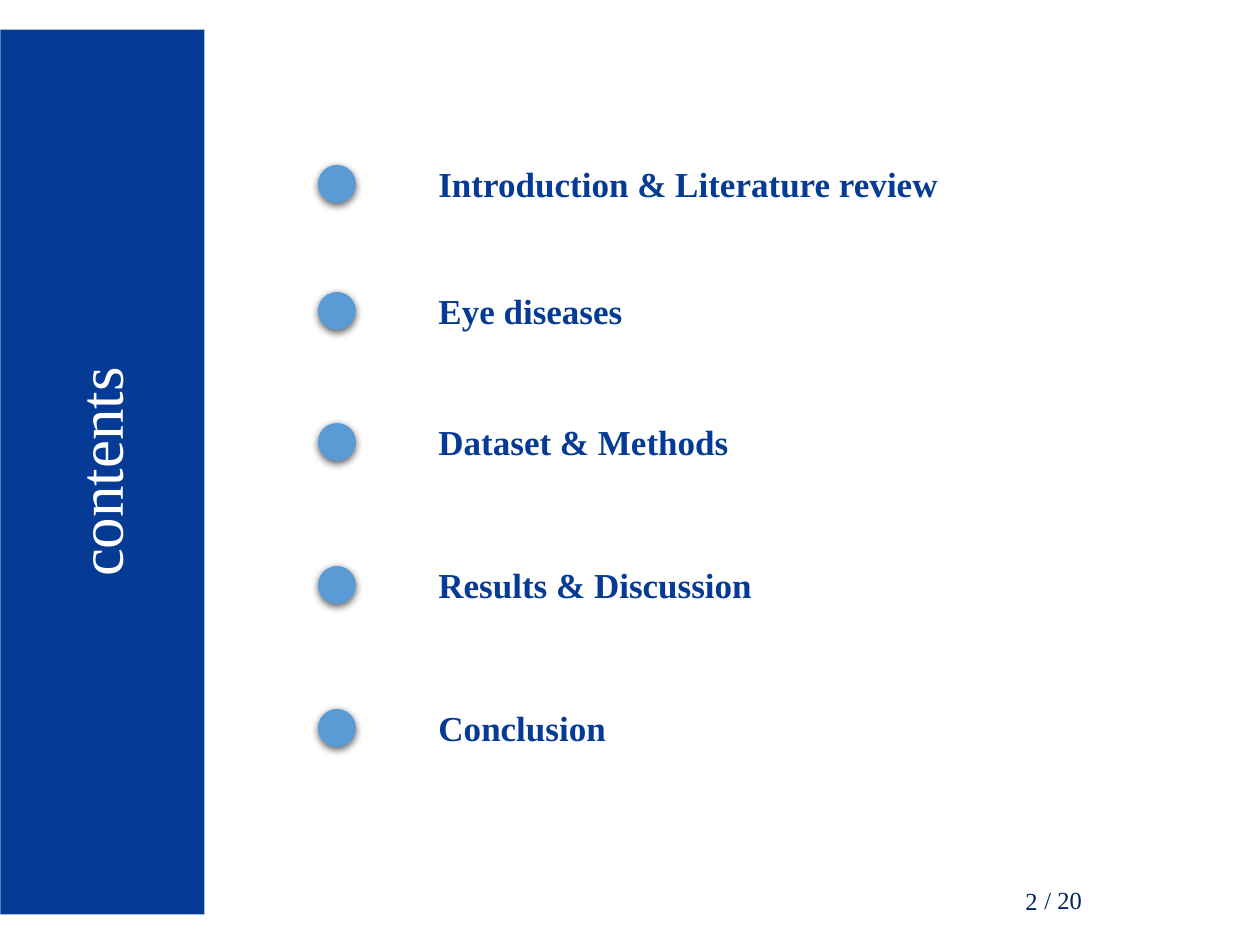
"""Builds a contents slide with a vertical title banner and five topics."""
from dataclasses import dataclass

from lxml import etree
from pptx import Presentation
from pptx import util as u
from pptx.dml.color import RGBColor
from pptx.enum import shapes, text
from pptx.oxml.ns import qn

PX = 914400 / 126
SERIF = "Times New Roman"
BLUE, NAVY, SKY, WHITE = "053B95", "002060", "5B9BD5", "FFFFFF"
DOT_LEFT, DOT_SIZE = 318, 38
LABEL_LEFT, LABEL_HEIGHT = 426, 55


@dataclass
class Topic:
    """A contents entry: its wording, vertical centre and label width."""
    label: str
    middle: int
    width: int


TOPICS = [
    Topic("Introduction & Literature review", 184, 528),
    Topic("Eye diseases", 311, 219),
    Topic("Dataset & Methods", 442, 318),
    Topic("Results & Discussion", 585, 350),
    Topic("Conclusion", 728, 194),
]


def px(length: float) -> int:
    """Turn pixels into EMU."""
    return round(length * PX)


def rgb(value: str) -> RGBColor:
    """Turn a hex string into a colour."""
    return RGBColor.from_string(value)


def write(frame, wording: str, size: int, color: str, bold: bool = False) -> None:
    """Put one formatted line of text into a frame."""
    frame.text = wording
    font = frame.paragraphs[0].runs[0].font
    font.name, font.size, font.bold = SERIF, u.Pt(size), bold
    font.color.rgb = rgb(color)


def add_text(slide, box: tuple[int, int, int, int], wording: str, size: int,
             color: str, bold: bool = False, wrap: bool = False):
    """Add a text box and return its frame."""
    frame = slide.shapes.add_textbox(*map(px, box)).text_frame
    write(frame, wording, size, color, bold)
    frame.word_wrap = wrap
    return frame


def add_shadow(shape) -> None:
    """Give a shape a soft shadow falling straight down."""
    shape.shadow.inherit = False
    effects = shape._element.spPr.find(qn("a:effectLst"))
    shadow = etree.SubElement(effects, qn("a:outerShdw"), blurRad=str(u.Pt(4.5)),
                              dist=str(u.Pt(1.5)), dir="5400000", rotWithShape="0")
    black = etree.SubElement(shadow, qn("a:srgbClr"), val="000000")
    etree.SubElement(black, qn("a:alpha"), val="63000")


def add_banner(slide, wording: str) -> None:
    """Turn the title into a banner that reads upwards."""
    banner = slide.shapes.title
    banner.left, banner.top, banner.width, banner.height = map(px, (-340, 370, 885, 204))
    banner.rotation = 270
    banner.fill.solid()
    banner.fill.fore_color.rgb = rgb(BLUE)
    frame = banner.text_frame
    write(frame, wording, 36, WHITE)
    frame.auto_size = text.MSO_AUTO_SIZE.NONE
    frame.vertical_anchor = text.MSO_ANCHOR.MIDDLE
    frame.paragraphs[0].alignment = text.PP_ALIGN.CENTER
    frame.paragraphs[0].line_spacing = 0.9


def add_dot(slide, topic: Topic) -> None:
    """Draw the round marker of a topic."""
    box = (DOT_LEFT, topic.middle - DOT_SIZE / 2, DOT_SIZE, DOT_SIZE)
    dot = slide.shapes.add_shape(shapes.MSO_SHAPE.OVAL, *map(px, box))
    dot.fill.solid()
    dot.fill.fore_color.rgb = rgb(SKY)
    dot.line.fill.background()
    add_shadow(dot)


def add_label(slide, topic: Topic) -> None:
    """Write a topic level with its marker."""
    box = (LABEL_LEFT, topic.middle - LABEL_HEIGHT / 2, topic.width, LABEL_HEIGHT)
    add_text(slide, box, topic.label, 20, BLUE, bold=True)


def add_page_number(slide, page: str, total: str) -> None:
    """Write the page number and the page count."""
    add_text(slide, (1032, 879, 63, 43), f"/ {total}", 14, NAVY)
    frame = add_text(slide, (890, 876, 283, 50), page, 14, NAVY, wrap=True)
    frame.vertical_anchor = text.MSO_ANCHOR.MIDDLE
    frame.paragraphs[0].alignment = text.PP_ALIGN.CENTER


def main() -> None:
    """Build and save the slide."""
    deck = Presentation()
    deck.slide_width, deck.slide_height = px(1260), px(945)
    slide = deck.slides.add_slide(deck.slide_layouts[5])
    add_banner(slide, "contents")
    for topic in TOPICS:
        add_dot(slide, topic)
        add_label(slide, topic)
    add_page_number(slide, "2", "20")
    deck.save("out.pptx")


if __name__ == "__main__":
    main()
